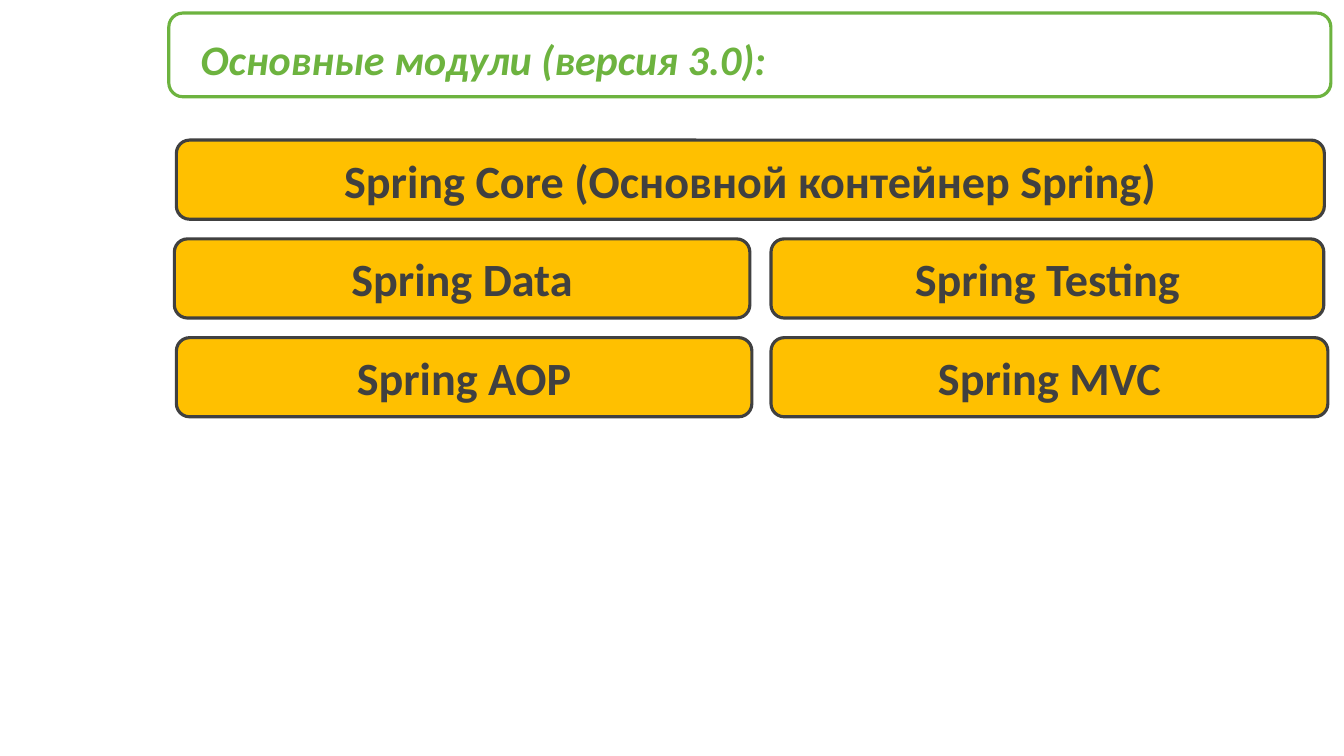
import pptx
import pptx.dml.color
import pptx.enum.shapes
import pptx.enum.text
import pptx.util

PX = 9144  # EMU per px, 100 px to the inch

THEME = {
    "font": "Calibri",
    "green": pptx.dml.color.RGBColor.from_string("6DB33F"),
    "amber": pptx.dml.color.RGBColor.from_string("FFC000"),
    "dark": pptx.dml.color.RGBColor.from_string("404040"),
    "white": pptx.dml.color.RGBColor.from_string("FFFFFF"),
    "title_size": pptx.util.Pt(60),
    "module_size": pptx.util.Pt(66),
    "border": pptx.util.Pt(4.5),
    "hairline": pptx.util.Pt(0.75),
}


def write_text(box, text, alignment, anchor, color, font_format):
    frame = box.text_frame
    frame.word_wrap = True
    frame.auto_size = pptx.enum.text.MSO_AUTO_SIZE.NONE
    frame.vertical_anchor = anchor
    para = frame.paragraphs[0]
    para.alignment = alignment
    span = para.add_run()
    span.text = text
    span.font.color.rgb = color
    for name, value in font_format.items():
        setattr(span.font, name, value)


def add_rounded_box(slide, left, top, width, height, line_color):
    box = slide.shapes.add_shape(
        pptx.enum.shapes.MSO_SHAPE.ROUNDED_RECTANGLE,
        left * PX, top * PX, width * PX, height * PX)
    box.shadow.inherit = False
    box.line.color.rgb = line_color
    box.line.width = THEME["border"]
    return box


deck = pptx.Presentation()
deck.slide_width = 2667 * PX
deck.slide_height = 1500 * PX
slide = deck.slides.add_slide(deck.slide_layouts[5])

# Heading
title = slide.shapes.title
placement = {"left": 388, "top": 57, "width": 2207, "height": 89}
for name, value in placement.items():
    setattr(title, name, value * PX)
title.fill.solid()
title.fill.fore_color.rgb = THEME["white"]
title.line.color.rgb = THEME["white"]
title.line.width = THEME["hairline"]
title.text_frame.margin_top = 10 * PX
write_text(title, "Основные модули (версия 3.0):",
           pptx.enum.text.PP_ALIGN.LEFT, pptx.enum.text.MSO_ANCHOR.TOP, THEME["green"],
           {"name": THEME["font"], "size": THEME["title_size"], "bold": True, "italic": True})

heading_frame = add_rounded_box(slide, 335, 26, 2306, 166, THEME["green"])
heading_frame.fill.background()

# Modules: one list per row, each with text, left and width
MODULE_TOP, MODULE_HEIGHT, ROW_STEP = 278, 157, 196
module_rows = [
    [("Spring Core (Основной контейнер Spring)", 350, 2278)],
    [("Spring Data", 346, 1142), ("Spring Testing", 1530, 1097)],
    [("Spring AOP", 350, 1142), ("Spring MVC", 1530, 1105)],
]
for row, modules in enumerate(module_rows):
    for text, left, width in modules:
        module = add_rounded_box(slide, left, MODULE_TOP + row * ROW_STEP,
                                 width, MODULE_HEIGHT, THEME["dark"])
        module.fill.solid()
        module.fill.fore_color.rgb = THEME["amber"]
        write_text(module, text,
                   pptx.enum.text.PP_ALIGN.CENTER, pptx.enum.text.MSO_ANCHOR.MIDDLE, THEME["dark"],
                   {"name": THEME["font"], "size": THEME["module_size"], "bold": True})

deck.save("out.pptx")
